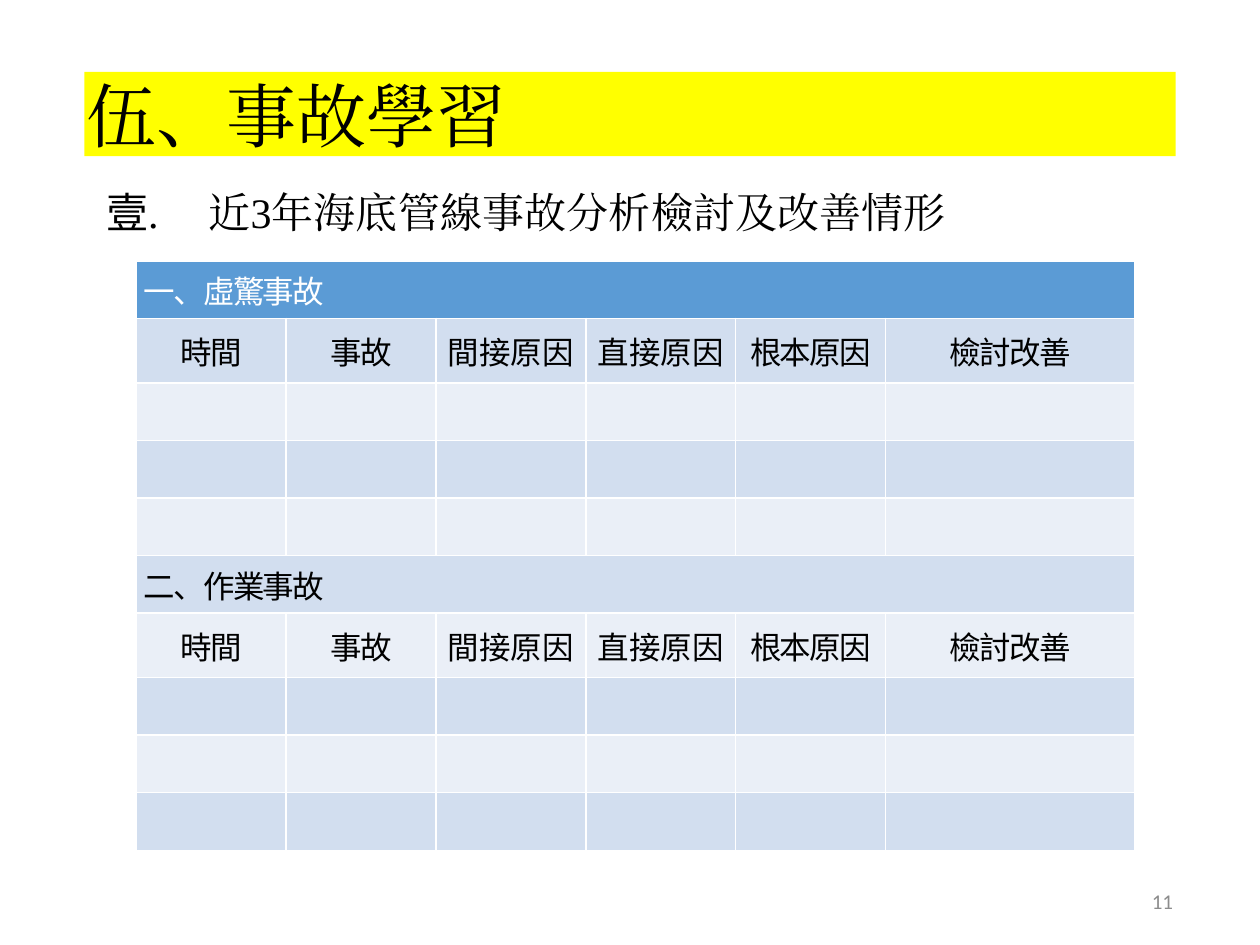
from lxml import etree
from pptx import Presentation
from pptx.dml.color import RGBColor
from pptx.enum.text import MSO_ANCHOR, MSO_AUTO_SIZE, PP_ALIGN
from pptx.oxml.ns import qn
from pptx.util import Cm, Pt

LEFT, CENTER, RIGHT = PP_ALIGN.LEFT, PP_ALIGN.CENTER, PP_ALIGN.RIGHT
TOP, MIDDLE = MSO_ANCHOR.TOP, MSO_ANCHOR.MIDDLE
SERIF, SANS, CJK = "Times New Roman", "Calibri", "Noto Sans CJK SC"

TITLE = "伍、事故學習"
SUBTITLE = [("近", 0.1), ("3", -0.1), ("年海底管線", 0.1), ("事", -0.2), ("故分析", 0.1),
            ("檢", -0.2), ("討", 0.1), ("及", -0.2), ("改善情形", 0.1)]
PAGE_NUMBER = "11"
SECTIONS = ["一、虛驚事故", "二、作業事故"]
HEADINGS = [("時間", -1), ("事故", -1), ("間接原因", 0), ("直接原因", 0),
            ("根本原因", -1), ("檢討改善", -1)]
BLANK_ROWS = 3
COLUMN_WIDTHS = [3.02] * 5 + [5.03]
ROW_HEIGHT, HEADING_HEIGHT = 1.16, 1.3
HEADER_FILL, BANDS = "5B9BD5", ["EAEFF7", "D2DEEF"]


def color(value):
    return RGBColor.from_string(value)


def format_run(run, size, font_name, font_color, spacing=0):
    run.font.size = Pt(size)
    run.font.bold = False
    run.font.name = font_name
    run.font.color.rgb = color(font_color)
    properties = run._r.get_or_add_rPr()
    properties.set("spc", str(round(spacing * 100)))
    east_asian = etree.Element(qn("a:ea"), typeface=font_name)
    properties.find(qn("a:latin")).addnext(east_asian)


def set_frame(frame, anchor):
    frame.word_wrap = True
    frame.auto_size = MSO_AUTO_SIZE.NONE
    frame.vertical_anchor = anchor
    frame.margin_left = frame.margin_right = frame.margin_top = frame.margin_bottom = 0


def set_indent(paragraph, left, first_line):
    properties = paragraph._p.get_or_add_pPr()
    properties.set("marL", str(Cm(left)))
    properties.set("indent", str(Cm(first_line)))
    return properties


def add_title(slide):
    title = slide.shapes.title
    title.left, title.top, title.width, title.height = Cm(1.7), Cm(1.45), Cm(22), Cm(1.7)
    title.fill.solid()
    title.fill.fore_color.rgb = color("FFFF00")
    title.text_frame.text = TITLE
    set_frame(title.text_frame, MIDDLE)
    paragraph = title.text_frame.paragraphs[0]
    paragraph.alignment = LEFT
    set_indent(paragraph, 0.05, 0)
    format_run(paragraph.runs[0], 40, SERIF, "000000", 0.1)


def add_text(slide, position, parts, size, font_name, font_color, alignment, anchor):
    frame = slide.shapes.add_textbox(*map(Cm, position)).text_frame
    set_frame(frame, anchor)
    paragraph = frame.paragraphs[0]
    paragraph.alignment = alignment
    for text, spacing in parts:
        run = paragraph.add_run()
        run.text = text
        format_run(run, size, font_name, font_color, spacing)
    return paragraph


def fill_cell(cell, fill, text, spacing, alignment, font_color):
    cell.fill.solid()
    cell.fill.fore_color.rgb = color(fill)
    cell.vertical_anchor = MIDDLE
    cell.margin_left = cell.margin_right = Cm(0.15)
    cell.margin_top = cell.margin_bottom = Cm(0.08)
    if text:
        cell.text = text
        paragraph = cell.text_frame.paragraphs[0]
        paragraph.alignment = alignment
        format_run(paragraph.runs[0], 18, CJK, font_color, spacing)


def add_accident_table(slide):
    columns = len(HEADINGS)
    blank = [("", 0)] * columns
    rows = []
    for section in SECTIONS:
        rows += [[(section, -1)] + blank[1:], HEADINGS] + [blank] * BLANK_ROWS
    heights = [HEADING_HEIGHT if row is HEADINGS else ROW_HEIGHT for row in rows]
    table = slide.shapes.add_table(len(rows), columns, Cm(2.75), Cm(5.26),
                                   Cm(sum(COLUMN_WIDTHS)), Cm(sum(heights))).table
    for column, width in zip(table.columns, COLUMN_WIDTHS):
        column.width = Cm(width)
    section_rows = range(0, len(rows), BLANK_ROWS + 2)
    for index, row in enumerate(rows):
        table.rows[index].height = Cm(heights[index])
        fill = BANDS[index % 2] if index else HEADER_FILL
        alignment = LEFT if index in section_rows else CENTER
        font_color = "000000" if index else "FFFFFF"
        for column, (text, spacing) in enumerate(row):
            fill_cell(table.cell(index, column), fill, text, spacing, alignment, font_color)
    for index in section_rows:
        table.cell(index, 0).merge(table.cell(index, columns - 1))


def main():
    """Build the accident learning slide with its review table."""
    presentation = Presentation()
    presentation.slide_width, presentation.slide_height = Cm(25.4), Cm(19.05)
    slide = presentation.slides.add_slide(presentation.slide_layouts[5])
    add_title(slide)
    add_text(slide, (17.93, 17.65, 5.72, 1.02), [(PAGE_NUMBER, 0)],
             12, SANS, "8C8C8C", RIGHT, MIDDLE)
    add_accident_table(slide)
    subtitle = add_text(slide, (2.1, 3.76, 18, 1.02), SUBTITLE, 24, SERIF, "000000", LEFT, TOP)
    properties = set_indent(subtitle, 2.1, -2.06)
    etree.SubElement(properties, qn("a:buFont"), typeface=SERIF)
    etree.SubElement(properties, qn("a:buAutoNum"), type="ea1ChtPeriod")
    presentation.save("out.pptx")


if __name__ == "__main__":
    main()
